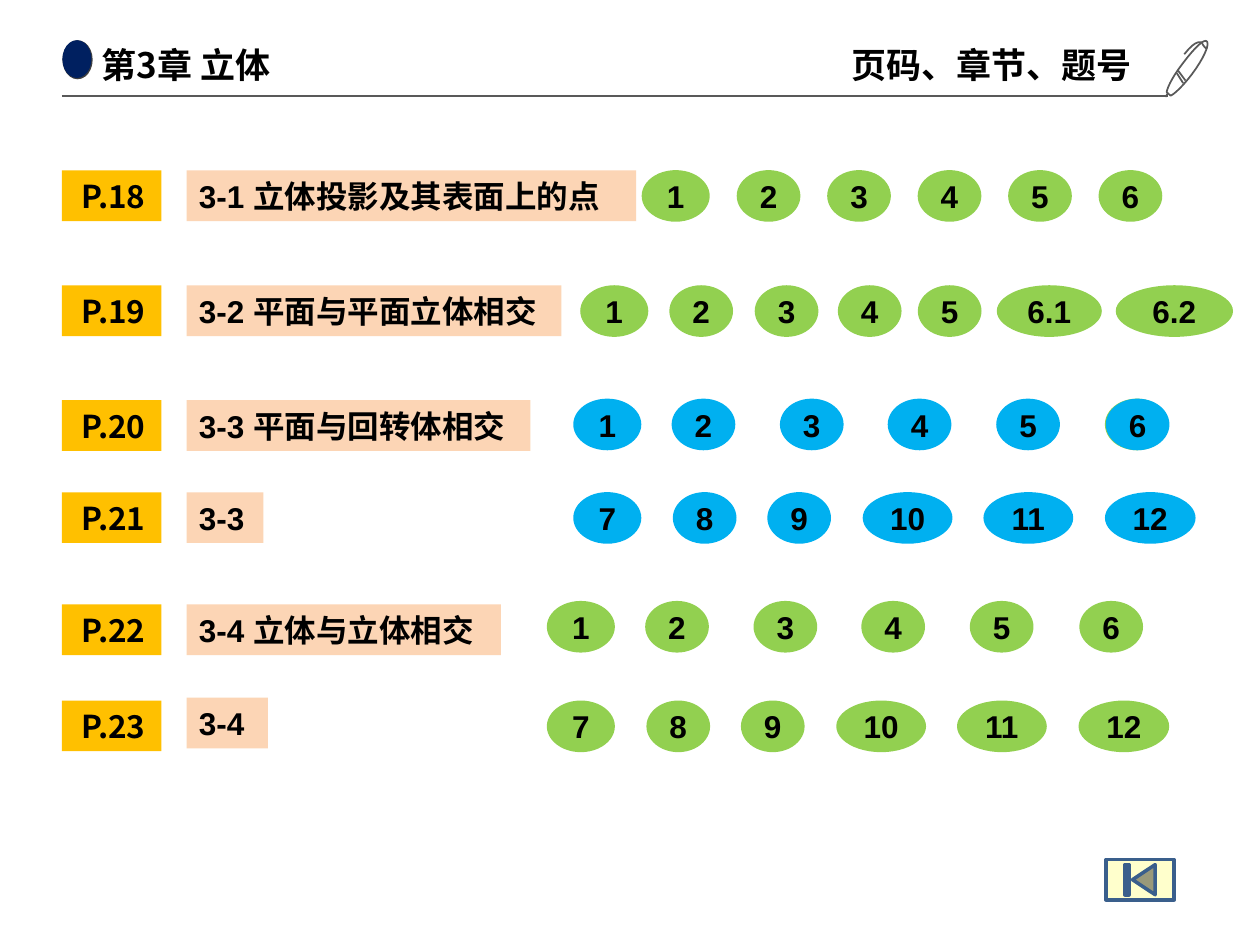
from pptx import Presentation
from pptx.dml.color import RGBColor
from pptx.enum import shapes, text
from pptx.oxml.ns import qn
from pptx.util import Pt

BLACK = RGBColor(0x00, 0x00, 0x00)
GRAY = RGBColor(0x59, 0x59, 0x59)
CHARCOAL = RGBColor(0x40, 0x40, 0x40)
NAVY = RGBColor(0x00, 0x20, 0x60)
GREEN = RGBColor(0x92, 0xD0, 0x50)
BLUE = RGBColor(0x00, 0xB0, 0xF0)
AMBER = RGBColor(0xFF, 0xC0, 0x00)
PEACH = RGBColor(0xFC, 0xD5, 0xB5)
CREAM = RGBColor(0xFF, 0xFF, 0xCC)
STEEL = RGBColor(0x3A, 0x5F, 0x8C)
LATIN, CJK = "Arial", "Noto Sans CJK SC"
KIND = shapes.MSO_SHAPE

prs = Presentation()
prs.slide_width, prs.slide_height = Pt(720), Pt(540)
s = prs.slides.add_slide(prs.slide_layouts[5])


def add_block(kind, x, y, w, h, fill):
    sp = s.shapes.add_shape(kind, Pt(x), Pt(y), Pt(w), Pt(h))
    sp.shadow.inherit = False
    sp.fill.solid()
    sp.fill.fore_color.rgb = fill
    sp.line.fill.background()
    return sp


def write(sp, parts, size, align, left=7.2):
    """Fill a shape with one bold line made of (text, font) parts."""
    tf = sp.text_frame
    tf.word_wrap = True
    tf.auto_size = text.MSO_AUTO_SIZE.NONE
    tf.vertical_anchor = text.MSO_ANCHOR.MIDDLE
    tf.margin_left = Pt(left)
    tf.margin_right = tf.margin_top = tf.margin_bottom = 0
    p = tf.paragraphs[0]
    p.alignment = align
    for words, font in parts:
        r = p.add_run()
        r.text = words
        r.font.size, r.font.bold, r.font.name = Pt(size), True, font
        r.font.color.rgb = BLACK
        ea = r.font._element.makeelement(qn("a:ea"), {"typeface": font})
        r.font._element.find(qn("a:latin")).addnext(ea)


# Header
title = s.shapes.title
title.left, title.top, title.width, title.height = Pt(53), Pt(22), Pt(268), Pt(29.5)
write(title, [("第3章 立体", CJK)], 20, text.PP_ALIGN.LEFT, 5)
subject = s.shapes.add_textbox(Pt(481.5), Pt(22), Pt(177), Pt(29.5))
write(subject, [("页码、章节、题号", CJK)], 20, text.PP_ALIGN.LEFT, 5)

add_block(KIND.OVAL, 35.7, 23, 17.3, 22.3, CHARCOAL)
add_block(KIND.OVAL, 35.7, 23, 16.6, 21.6, NAVY)

rule = s.shapes.add_connector(shapes.MSO_CONNECTOR.STRAIGHT, Pt(35.3), Pt(54.8), Pt(667.4), Pt(54.8))
rule.line.color.rgb, rule.line.width = GRAY, Pt(0.75)
rule._element.spPr.append(rule._element.makeelement(qn("a:effectLst"), {}))

# Pen: each stroke is a start point, then cubic curves or straight ends
pen_strokes = [
    [(676.1, 47.5), [(672.5, 41.8)]],
    [(673.2, 40.3), [(677.5, 46.1)]],
    [(689.8, 23.8),
     [(688.3, 21.6), (682.6, 27.4), (676.1, 36)],
     [(671, 42.5), (667.4, 49), (666.7, 52.6)],
     [(668.9, 54.7)],
     [(671, 54), (676.1, 49), (681.1, 42.5)],
     [(687.6, 33.8), (691.2, 25.9), (689.8, 23.8)]],
    [(667.4, 53.3), [(666, 55.4)]],
    [(689.8, 28.1),
     [(689.8, 28.1), (687.6, 26.6), (686.9, 24.5)],
     [(686.9, 24.5), (684, 21.6), (676.8, 31)]],
]
STEPS = 8
pen = None
for start, *segments in pen_strokes:
    x, y = Pt(start[0]), Pt(start[1])
    if pen is None:
        pen = s.shapes.build_freeform(x, y, scale=1.0)
    else:
        pen.move_to(x, y)
    points, here = [], start
    for segment in segments:
        if len(segment) == 1:
            points.append(segment[0])
        else:
            a, b, c = segment
            for i in range(1, STEPS + 1):
                t = i / STEPS
                u = 1 - t
                points.append([u**3 * here[k] + 3 * u * u * t * a[k] + 3 * u * t * t * b[k] + t**3 * c[k]
                               for k in (0, 1)])
        here = segment[-1]
    pen.add_line_segments([(Pt(px), Pt(py)) for px, py in points], close=False)
sp = pen.convert_to_shape()
sp.shadow.inherit = False
sp.fill.background()
sp.line.color.rgb, sp.line.width = GRAY, Pt(1)

# Exercise rows: page, section, heading, heading width, tops of page / heading / badges,
# badge colour, first badge left, offsets of the badges, badge labels
ONE_TO_SIX = ["1", "2", "3", "4", "5", "6"]
SEVEN_ON = ["7", "8", "9", "10", "11", "12"]
SINGLES = [0, 56.2, 118.1, 179.7, 241.7, 304.3]
DOUBLES = [0, 56.9, 110.9, 165.4, 234.4, 303.8]
rows = [
    ("P.18", "3-1", "立体投影及其表面上的点", 257, 97.4, 97.4, 97.2, GREEN, 366.7,
     [0, 54.3, 106, 157.7, 209.4, 261.1], ONE_TO_SIX),
    ("P.19", "3-2", "平面与平面立体相交", 214.2, 163.1, 163.1, 163, GREEN, 331.6,
     [0, 50.9, 99.7, 147.2, 192.9, 238, 306], ["1", "2", "3", "4", "5", "6.1", "6.2"]),
    ("P.20", "3-3", "平面与回转体相交", 196.5, 228.7, 228.7, 227.8, BLUE, 327.6, SINGLES, ONE_TO_SIX),
    ("P.21", "3-3", "", 44, 281.3, 281.3, 281.2, BLUE, 327.6, DOUBLES, SEVEN_ON),
    ("P.22", "3-4", "立体与立体相交", 179.7, 345.4, 345.4, 343.4, GREEN, 312.5, SINGLES, ONE_TO_SIX),
    ("P.23", "3-4", "", 46.5, 400.3, 398.7, 400.3, GREEN, 312.5, DOUBLES, SEVEN_ON),
]
BADGE_WIDTHS = {"1": 38.9, "7": 38.9, "10": 51.3, "11": 51.3, "12": 51.8, "6.1": 60, "6.2": 67}

# Green edge behind the last badge of P.20
add_block(KIND.OVAL, 631.4, 227.8, 36.4, 29.5, GREEN)

for page, section, heading, width, page_y, head_y, badge_y, color, left, offsets, labels in rows:
    sp = add_block(KIND.RECTANGLE, 35.3, page_y, 56.9, 29, AMBER)
    write(sp, [(page, CJK)], 18, text.PP_ALIGN.LEFT, 11.4)
    sp = add_block(KIND.RECTANGLE, 106.6, head_y, width, 29, PEACH)
    parts = [(section + " ", LATIN), (heading, CJK)] if heading else [(section, LATIN)]
    write(sp, parts, 18, text.PP_ALIGN.LEFT)
    for offset, label in zip(offsets, labels):
        sp = add_block(KIND.OVAL, left + offset, badge_y, BADGE_WIDTHS.get(label, 36.4), 29.5, color)
        write(sp, [(label, LATIN)], 18, text.PP_ALIGN.CENTER, 0)

# Back-to-start button
button = add_block(KIND.ACTION_BUTTON_BEGINNING, 632, 491.2, 39, 23, CREAM)
button.line.color.rgb, button.line.width = STEEL, Pt(2)

prs.save("out.pptx")
